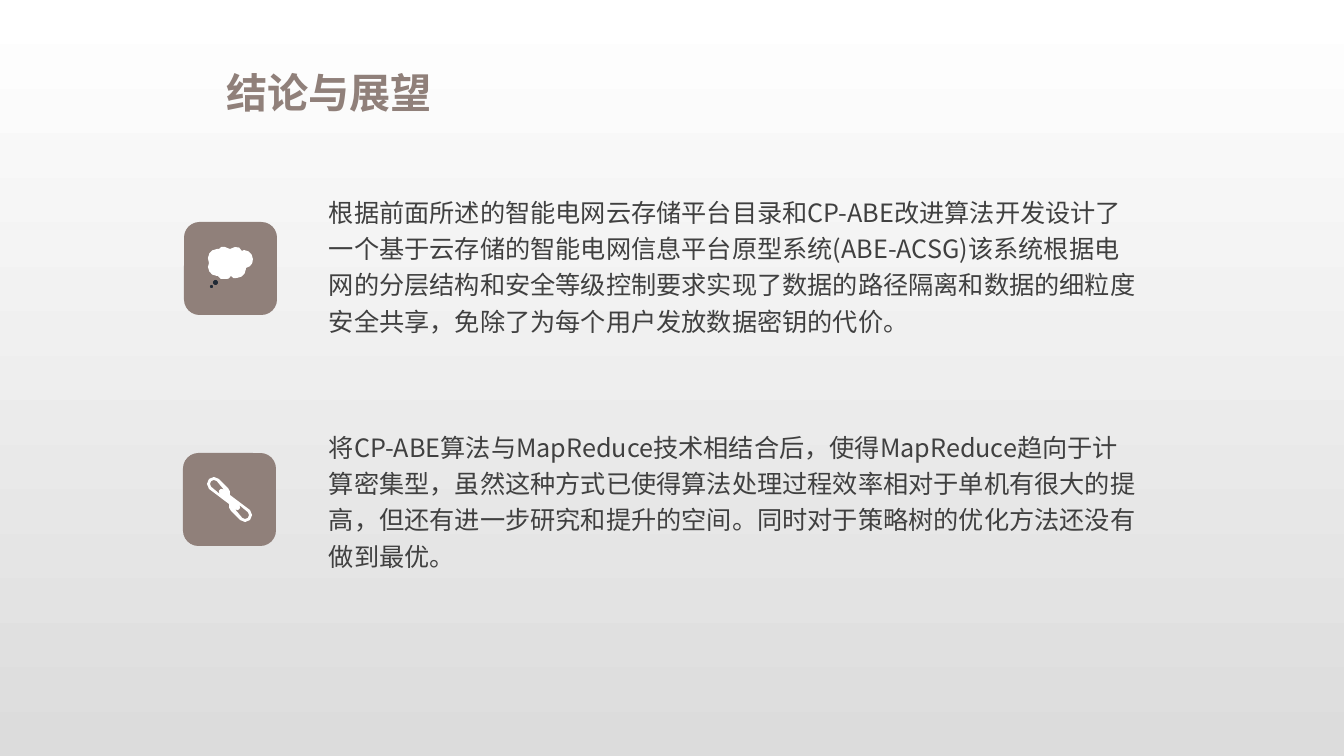
from dataclasses import dataclass
from math import cos, hypot, pi, radians, sin

from lxml.etree import SubElement
from pptx import Presentation
from pptx.dml.color import RGBColor as Color
from pptx.enum.lang import MSO_LANGUAGE_ID as Language
from pptx.enum.shapes import MSO_SHAPE as Shape
from pptx.enum.text import MSO_ANCHOR as Anchor, MSO_AUTO_SIZE as AutoSize, PP_ALIGN as Align
from pptx.oxml.ns import qn
from pptx.util import Pt

EMU_PER_PIXEL = 914400 / 100.8


@dataclass(frozen=True)
class Theme:
    accent: str = "90807A"
    body: str = "404040"
    icon: str = "FFFFFF"
    dot: str = "202A36"
    background: tuple = ("FFFFFF", "DCDCDC")
    title_font: str = "Arial"
    body_font: str = "Noto Sans CJK SC"
    title_size: float = 29.4
    body_size: float = 18


def emu(pixels):
    return round(pixels * EMU_PER_PIXEL)


def write_text(shape, text, *, size, font, color, bold=False, wrap=True, spacing=1.0):
    frame = shape.text_frame
    frame.word_wrap = wrap
    frame.auto_size = AutoSize.SHAPE_TO_FIT_TEXT
    frame.vertical_anchor = Anchor.TOP
    paragraph = frame.paragraphs[0]
    paragraph.alignment = Align.LEFT
    paragraph.line_spacing = spacing
    run = paragraph.add_run()
    run.text = text
    run.font.size = Pt(size)
    run.font.bold = bold
    run.font.language_id = Language.SIMPLIFIED_CHINESE
    run.font.color.rgb = Color.from_string(color)
    run.font.name = font
    SubElement(run.font._element, qn("a:ea"), typeface=font)


class SlideBuilder:
    def __init__(self, presentation, theme):
        self.theme = theme
        self.slide = presentation.slides.add_slide(presentation.slide_layouts[5])

    def background(self):
        fill = self.slide.background.fill
        fill.gradient()
        fill.gradient_angle = 270
        for stop, color in zip(fill.gradient_stops, self.theme.background):
            stop.color.rgb = Color.from_string(color)

    def title(self, text, left, top, width, height):
        shape = self.slide.shapes.title
        shape.left, shape.top = emu(left), emu(top)
        shape.width, shape.height = emu(width), emu(height)
        write_text(shape, text, size=self.theme.title_size, font=self.theme.title_font,
                   color=self.theme.accent, bold=True, wrap=False)

    def body(self, text, *box):
        shape = self.slide.shapes.add_textbox(*map(emu, box))
        write_text(shape, text, size=self.theme.body_size, font=self.theme.body_font,
                   color=self.theme.body, spacing=1.2)

    def group(self):
        return self.slide.shapes.add_group_shape()

    def paint(self, shape, color):
        shape.shadow.inherit = False
        shape.fill.solid()
        shape.fill.fore_color.rgb = Color.from_string(color)
        shape.line.fill.background()

    def preset(self, group, kind, left, top, size, color):
        shape = group.shapes.add_shape(kind, *map(emu, (left, top, size, size)))
        self.paint(shape, color)

    def outline(self, group, left, top, contours, color):
        scaled = [[(emu(left + x), emu(top + y)) for x, y in points] for points in contours]
        builder = group.shapes.build_freeform(*scaled[0][0], scale=1.0)
        builder.add_line_segments(scaled[0][1:], close=True)
        for points in scaled[1:]:
            builder.move_to(*points[0])
            builder.add_line_segments(points[1:], close=True)
        self.paint(builder.convert_to_shape(), color)


def arc(center, radius, start, end, steps=4):
    angles = [radians(start + (end - start) * step / steps) for step in range(steps + 1)]
    return [(center + radius * cos(angle), radius * sin(angle)) for angle in angles]


def chain_contours():
    far, near = -22, -9
    half = arc(far, 7, 90, 270) + arc(near, 7, 270, 330, steps=2)
    hole = arc(far, 4, 90, 270) + arc(near - 2, 3, 270, 90, steps=3)

    def opposite(points):
        return [(-u, -v) for u, v in points]

    def tilt(points):
        return [((u - v) * cos(pi / 4), (u + v) * sin(pi / 4)) for u, v in points]

    return [tilt(points) for points in (half + opposite(half), hole, opposite(hole))]


def cloud_contour(corners, bulge=0.2):
    points = []
    for (x, y), (next_x, next_y) in zip(corners, corners[1:] + corners[:1]):
        dx, dy = next_x - x, next_y - y
        steps = max(1, round(hypot(dx, dy) / 4))
        for step in range(steps):
            t = step / steps
            rise = 4 * bulge * t * (1 - t)
            points.append((x + dx * t - dy * rise, y + dy * t + dx * rise))
    return points


CLOUD_CORNERS = [(69, 37), (60, 28), (58, 29), (51, 25), (46, 27), (41, 25), (35, 27),
                 (33, 27), (24, 36), (25, 41), (24, 45), (33, 54), (34, 54), (41, 57),
                 (47, 54), (53, 56), (62, 47), (62, 46)]
CLOUD_DOTS = [(29, 58, 5), (26, 63, 3)]
TILE_SIZE = 93
CLOUD_TILE = (184, 222)
CHAIN_TILE = (183, 453)
BODY_LEFT, BODY_WIDTH, BODY_HEIGHT = 319, 829, 156
CHAIN_TEXT = (
    "将CP-ABE算法与MapReduce技术相结合后\uff0c使得MapReduce趋向于计算密集型\uff0c"
    "虽然这种方式已使得算法处理过程效率相对于单机有很大的提高\uff0c但还有进一步研究和"
    "提升的空间。同时对于策略树的优化方法还没有做到最优。"
)
CLOUD_TEXT = (
    "根据前面所述的智能电网云存储平台目录和CP-ABE改进算法开发设计了一个基于云存储的"
    "智能电网信息平台原型系统(ABE-ACSG)该系统根据电网的分层结构和安全等级控制要求"
    "实现了数据的路径隔离和数据的细粒度安全共享\uff0c免除了为每个用户发放数据密钥的代价。"
)

presentation = Presentation()
presentation.slide_width, presentation.slide_height = emu(1344), emu(756)
theme = Theme()
slide = SlideBuilder(presentation, theme)
slide.background()
slide.title("结论与展望", 216, 62, 226, 59)
for body_top, body_text in ((421, CHAIN_TEXT), (186, CLOUD_TEXT)):
    slide.body(body_text, BODY_LEFT, body_top, BODY_WIDTH, BODY_HEIGHT)

chain = slide.group()
slide.preset(chain, Shape.ROUNDED_RECTANGLE, *CHAIN_TILE, TILE_SIZE, theme.accent)
chain_left, chain_top = (edge + TILE_SIZE / 2 for edge in CHAIN_TILE)
slide.outline(chain, chain_left, chain_top, chain_contours(), theme.icon)

cloud = slide.group()
slide.preset(cloud, Shape.ROUNDED_RECTANGLE, *CLOUD_TILE, TILE_SIZE, theme.accent)
for x, y, size in CLOUD_DOTS:
    slide.preset(cloud, Shape.OVAL, CLOUD_TILE[0] + x, CLOUD_TILE[1] + y, size, theme.dot)
slide.outline(cloud, *CLOUD_TILE, [cloud_contour(CLOUD_CORNERS)], theme.icon)

presentation.save("out.pptx")
